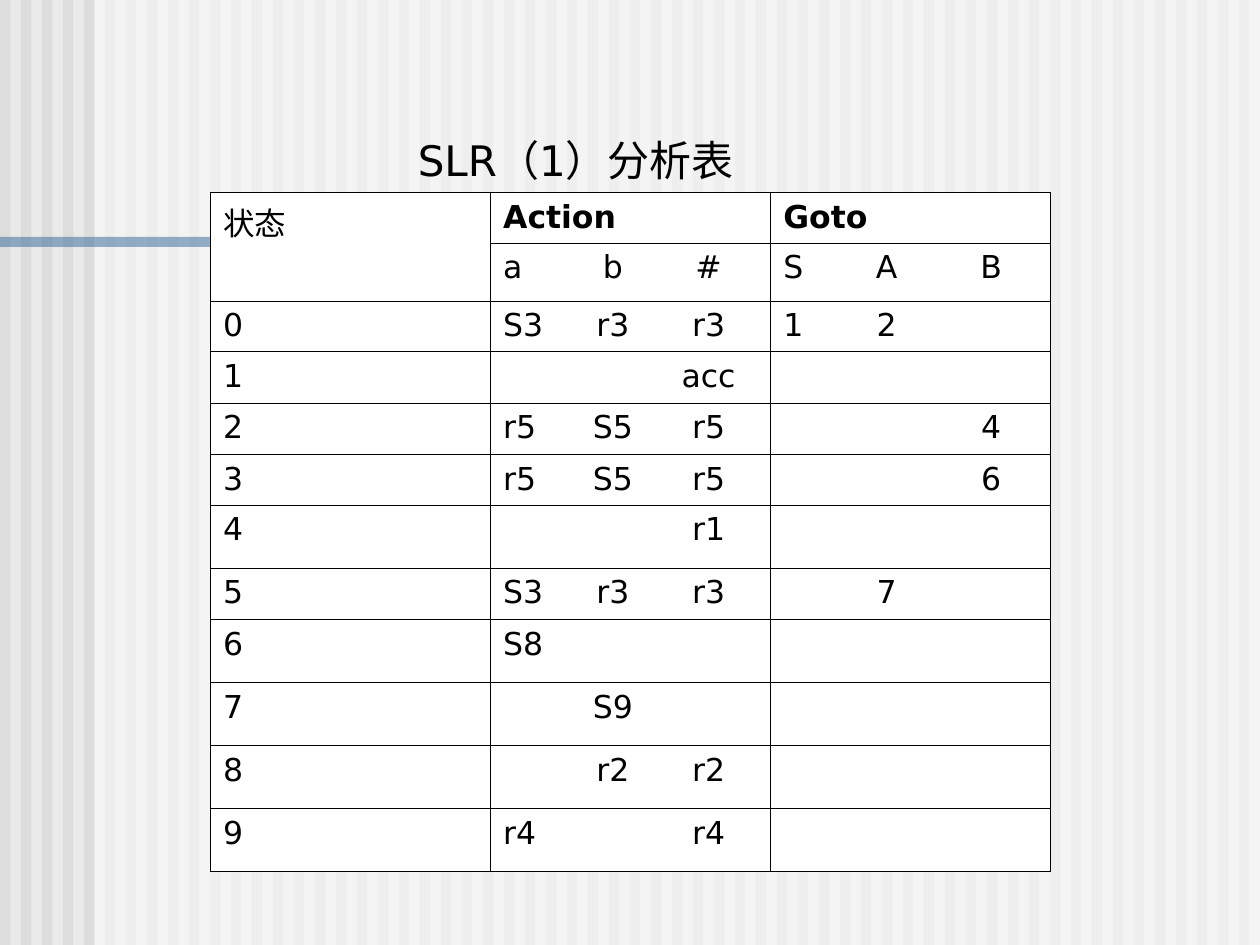
from dataclasses import dataclass

from lxml.etree import SubElement
from pptx import Presentation
from pptx.dml.color import RGBColor
from pptx.enum.shapes import MSO_SHAPE
from pptx.enum.text import MSO_ANCHOR, MSO_AUTO_SIZE, PP_ALIGN
from pptx.oxml.ns import qn
from pptx.util import Inches, Pt

COLORS = {
    "background": "EAEAEA",
    "stripe": "DDDDDD",
    "white": "FFFFFF",
    "accent": "336699",
    "black": "000000",
}
FONT = "DejaVu Sans"
STRIPE_COUNT = 60
STRIPE_PITCH = 10 / STRIPE_COUNT

# Centred tab stops for the symbols after the first in each column
ACTION_TABS = (0.87, 1.63)
GOTO_TABS = (0.82, 1.65)


@dataclass
class Bar:
    left: float
    top: float
    width: float
    height: float
    color: str
    opacity: int = 100


@dataclass
class StateRow:
    state: str
    action: tuple[str, ...]
    goto: tuple[str, ...] = ()
    height: float = 0.4


ROWS = [
    StateRow("状态", ("Action",), ("Goto",)),
    StateRow("", ("a", "b", "#"), ("S", "A", "B")),
    StateRow("0", ("S3", "r3", "r3"), ("1", "2")),
    StateRow("1", ("", "", "acc")),
    StateRow("2", ("r5", "S5", "r5"), ("", "", "4"), 0.41),
    StateRow("3", ("r5", "S5", "r5"), ("", "", "6")),
    StateRow("4", ("", "", "r1"), height=0.5),
    StateRow("5", ("S3", "r3", "r3"), ("", "7"), 0.41),
    StateRow("6", ("S8",), height=0.5),
    StateRow("7", ("", "S9"), height=0.5),
    StateRow("8", ("", "r2", "r2"), height=0.5),
    StateRow("9", ("r4", "", "r4"), height=0.5),
]


def rgb(name: str) -> RGBColor:
    return RGBColor.from_string(COLORS[name])


def draw_bar(page, bar: Bar) -> None:
    shape = page.shapes.add_shape(
        MSO_SHAPE.RECTANGLE, Inches(bar.left), Inches(bar.top),
        Inches(bar.width), Inches(bar.height))
    shape.shadow.inherit = False
    shape.line.fill.background()
    shape.fill.solid()
    shape.fill.fore_color.rgb = rgb(bar.color)
    if bar.opacity < 100:
        color = shape.element.spPr.find(qn("a:solidFill"))[0]
        SubElement(color, qn("a:alpha"), val=str(bar.opacity * 1000))


def format_span(span, size: int, bold: bool = False) -> None:
    span.font.name = FONT
    span.font.size = Pt(size)
    span.font.bold = bold
    span.font.color.rgb = rgb("black")


def add_borders(cell) -> None:
    properties = cell._tc.get_or_add_tcPr()
    for position, side in enumerate(("lnL", "lnR", "lnT", "lnB")):
        line = SubElement(properties, qn(f"a:{side}"), w=str(Pt(0.45)))
        fill = SubElement(line, qn("a:solidFill"))
        SubElement(fill, qn("a:srgbClr"), val=COLORS["black"])
        properties.insert(position, line)


def fill_cell(cell, symbols: tuple[str, ...], tabs: tuple[float, ...],
              bold: bool) -> None:
    cell.fill.solid()
    cell.fill.fore_color.rgb = rgb("white")
    add_borders(cell)
    para = cell.text_frame.paragraphs[0]
    if len(symbols) > 1:
        tab_list = SubElement(para._p.get_or_add_pPr(), qn("a:tabLst"))
        for tab in tabs:
            SubElement(tab_list, qn("a:tab"), pos=str(Inches(tab)), algn="ctr")
    if any(symbols):
        para.text = "\t".join(symbols)
        for span in para.runs:
            format_span(span, 18, bold)


def draw_table(page) -> None:
    frame = page.shapes.add_table(
        len(ROWS), 3, Inches(1.67), Inches(1.53), Inches(6.67),
        Inches(sum(row.height for row in ROWS)))
    table = frame.table
    table.first_row = False
    table.horz_banding = False
    for column in table.columns:
        column.width = Inches(6.67 / 3)
    for index, row in enumerate(ROWS):
        table.rows[index].height = Inches(row.height)
        fill_cell(table.cell(index, 0), (row.state,), (), False)
        fill_cell(table.cell(index, 1), row.action, ACTION_TABS, index == 0)
        fill_cell(table.cell(index, 2), row.goto, GOTO_TABS, index == 0)
    table.cell(0, 0).merge(table.cell(1, 0))


def draw_title(page) -> None:
    title = page.shapes.title
    title.left, title.top = Inches(1.72), Inches(1.02)
    title.width, title.height = Inches(5.7), Inches(0.5)
    frame = title.text_frame
    frame.text = "SLR（1）分析表"
    frame.word_wrap = True
    frame.auto_size = MSO_AUTO_SIZE.SHAPE_TO_FIT_TEXT
    frame.vertical_anchor = MSO_ANCHOR.TOP
    para = frame.paragraphs[0]
    para.alignment = PP_ALIGN.CENTER
    format_span(para.runs[0], 24)
    # Bring the title in front of the background bars
    page.shapes.element.append(title.element)


def main() -> None:
    deck = Presentation()
    deck.slide_width, deck.slide_height = Inches(10), Inches(7.5)
    page = deck.slides.add_slide(deck.slide_layouts[5])

    # Striped background
    page.background.fill.solid()
    page.background.fill.fore_color.rgb = rgb("background")
    for index in range(STRIPE_COUNT):
        draw_bar(page, Bar(index * STRIPE_PITCH, 0, STRIPE_PITCH / 2, 7.5, "stripe"))
    draw_bar(page, Bar(0.75, 0, 9.25, 7.5, "white", 50))
    draw_bar(page, Bar(0, 1.88, 7.6, 0.08, "accent", 50))

    # Parsing table and its title
    draw_table(page)
    draw_title(page)
    deck.save("out.pptx")


if __name__ == "__main__":
    main()
